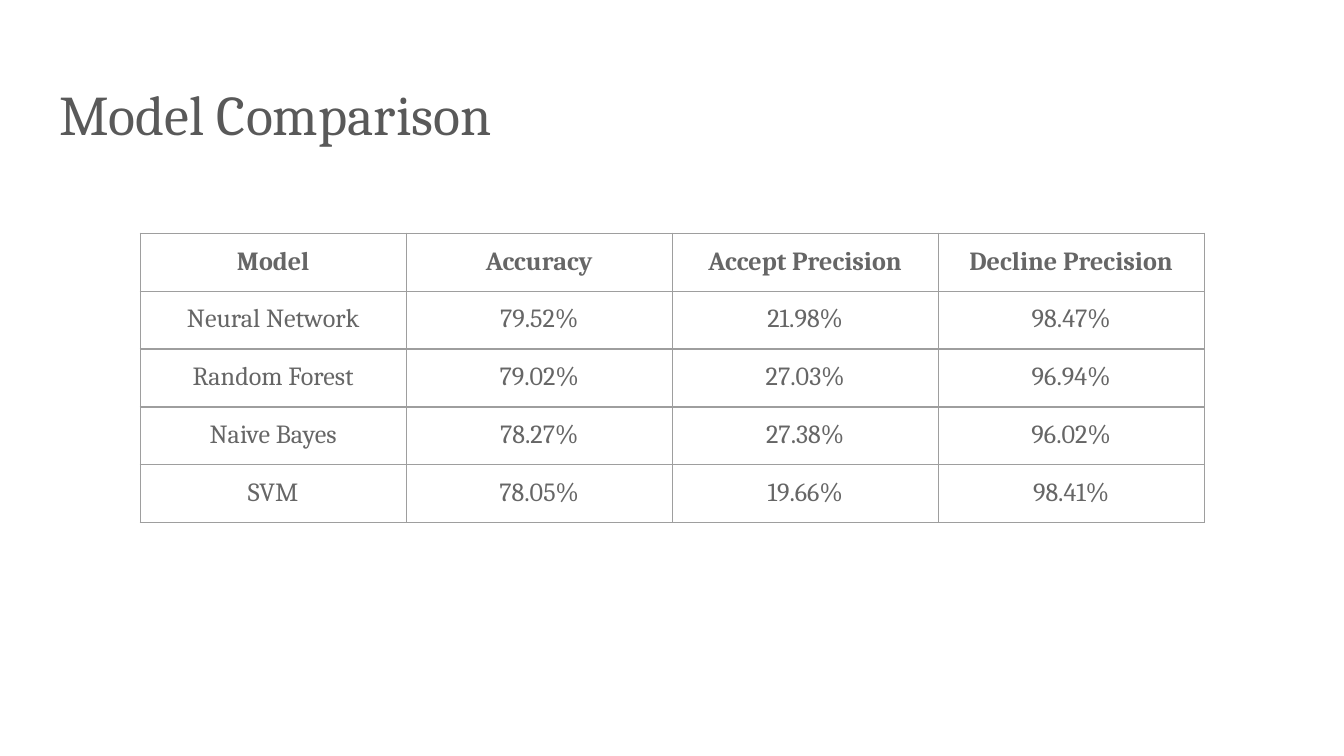
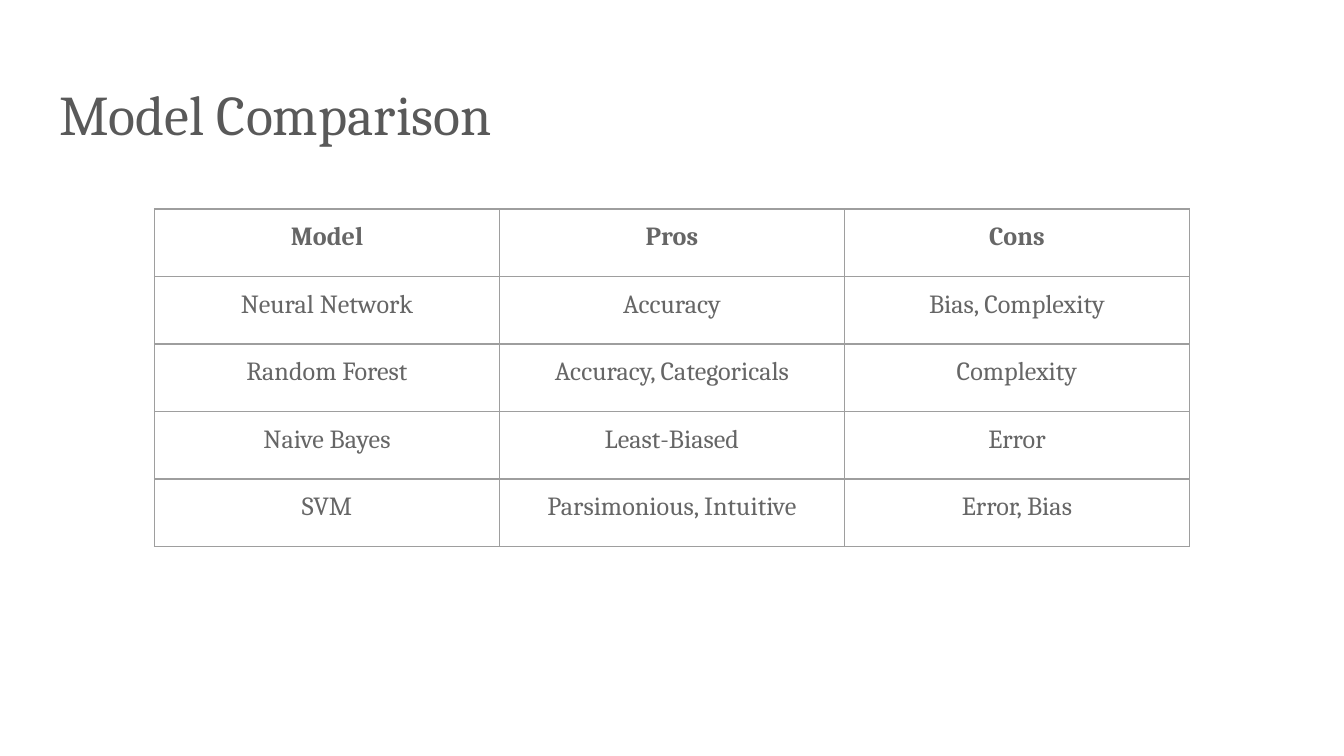
from lxml.etree import SubElement
from pptx import Presentation
from pptx.dml.color import RGBColor
from pptx.enum.text import PP_ALIGN
from pptx.oxml.ns import qn
from pptx.util import Cm, Pt

FONT = "Cambria"
TITLE_GREY = RGBColor(0x59, 0x59, 0x59)
BODY_GREY = RGBColor(0x66, 0x66, 0x66)
BORDER_GREY = RGBColor(0x9E, 0x9E, 0x9E)
INSET = Cm(0.25)
TITLE_BOX = (0.87, 1.25, 23.67, 1.6)

SCORES = [
    ("Model", "Accuracy", "Accept Precision", "Decline Precision"),
    ("Neural Network", "79.52%", "21.98%", "98.47%"),
    ("Random Forest", "79.02%", "27.03%", "96.94%"),
    ("Naive Bayes", "78.27%", "27.38%", "96.02%"),
    ("SVM", "78.05%", "19.66%", "98.41%"),
]
TRADE_OFFS = [
    ("Model", "Pros", "Cons"),
    ("Neural Network", "Accuracy", "Bias, Complexity"),
    ("Random Forest", "Accuracy, Categoricals", "Complexity"),
    ("Naive Bayes", "Least-Biased", "Error"),
    ("SVM", "Parsimonious, Intuitive", "Error, Bias"),
]


def write(frame, text, size=14, color=BODY_GREY, bold=False, align=PP_ALIGN.LEFT):
    paragraph = frame.paragraphs[0]
    paragraph.alignment = align
    run = paragraph.add_run()
    run.text = text
    run.font.name = FONT
    run.font.size = Pt(size)
    run.font.bold = bold
    run.font.color.rgb = color


def add_title(slide, text, box):
    frame = slide.shapes.add_textbox(*map(Cm, box)).text_frame
    frame.word_wrap = True
    frame.margin_left = frame.margin_right = INSET
    frame.margin_top = frame.margin_bottom = INSET
    write(frame, text, size=30, color=TITLE_GREY)


def outline(cell):
    """Rule all four sides of a cell; call before its fill is set."""
    properties = cell._tc.get_or_add_tcPr()
    for side in ("a:lnL", "a:lnR", "a:lnT", "a:lnB"):
        line = SubElement(properties, qn(side), w=str(Pt(0.75)))
        fill = SubElement(line, qn("a:solidFill"))
        SubElement(fill, qn("a:srgbClr"), val=str(BORDER_GREY))


def add_comparison(slide, rows, box):
    """Draw a ruled table with equal rows and columns filling the box."""
    table = slide.shapes.add_table(len(rows), len(rows[0]), *map(Cm, box)).table
    table.first_row = table.horz_banding = False
    for r, values in enumerate(rows):
        for c, value in enumerate(values):
            cell = table.cell(r, c)
            cell.margin_left = cell.margin_right = INSET
            cell.margin_top = cell.margin_bottom = INSET
            outline(cell)
            cell.fill.background()
            write(cell.text_frame, value, bold=r == 0, align=PP_ALIGN.CENTER)


def add_comparison_slide(deck, rows, box):
    slide = deck.slides.add_slide(deck.slide_layouts[6])
    add_title(slide, "Model Comparison", TITLE_BOX)
    add_comparison(slide, rows, box)


def main():
    deck = Presentation()
    deck.slide_width, deck.slide_height = Cm(25.4), Cm(14.29)
    add_comparison_slide(deck, SCORES, (2.65, 4.41, 20.11, 5.39))
    add_comparison_slide(deck, TRADE_OFFS, (2.92, 3.95, 19.56, 6.38))
    deck.save("out.pptx")


if __name__ == "__main__":
    main()
